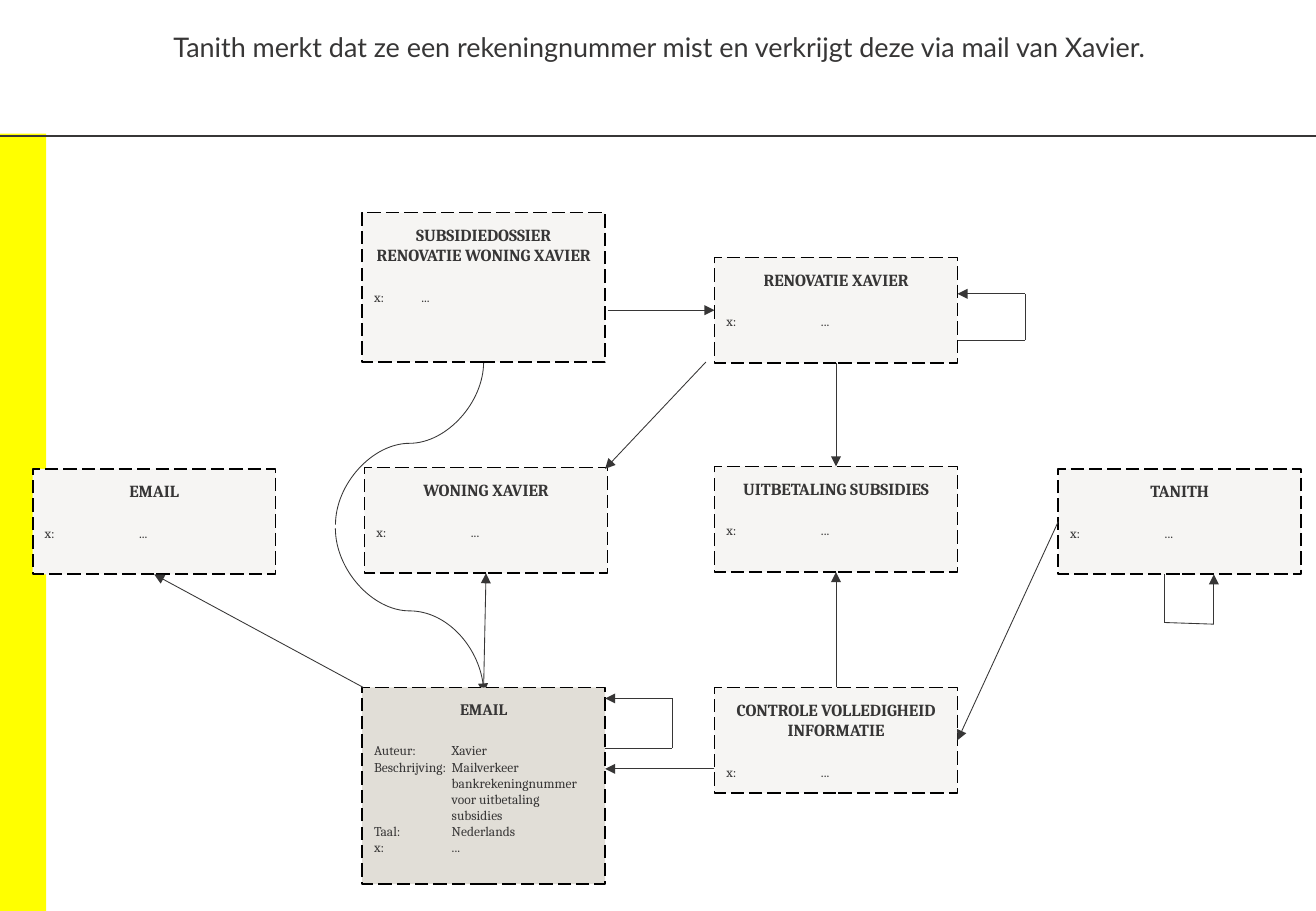
from dataclasses import dataclass
from itertools import pairwise

from lxml import etree
from pptx import Presentation
from pptx.dml.color import RGBColor
from pptx.enum.dml import MSO_LINE
from pptx.enum.shapes import MSO_CONNECTOR, MSO_SHAPE
from pptx.enum.text import MSO_ANCHOR, PP_ALIGN
from pptx.oxml.ns import qn
from pptx.util import Pt

RECT = MSO_SHAPE.RECTANGLE
LINE, CURVE = MSO_CONNECTOR.STRAIGHT, MSO_CONNECTOR.CURVE
DASH = MSO_LINE.LONG_DASH
TOP = MSO_ANCHOR.TOP
LEFT, MID = PP_ALIGN.LEFT, PP_ALIGN.CENTER

Point = tuple[float, float]
Site = tuple[str, int]


@dataclass(frozen=True)
class Theme:
    ink: RGBColor = RGBColor(0x37, 0x36, 0x36)
    edge: RGBColor = RGBColor(0, 0, 0)
    pale: RGBColor = RGBColor(0xF6, 0xF5, 0xF3)
    dark: RGBColor = RGBColor(0xE1, 0xDE, 0xD7)
    band: RGBColor = RGBColor(0xFF, 0xFF, 0)
    white: RGBColor = RGBColor(0xFF, 0xFF, 0xFF)
    sans: str = "Lato"
    serif: str = "Cambria"
    title: float = 16
    head: float = 10
    body: float = 8


THEME = Theme()
WIDE, HIGH = 779.8, 540
BOX_W, BOX_H = 144, 62.6
PAD, GAP = 7.2, 14


@dataclass(frozen=True)
class Box:
    key: str
    left: float
    top: float
    head: str
    high: float = BOX_H
    fill: RGBColor = THEME.pale
    size: float = THEME.head
    tab: float = 56
    rows: tuple[str, ...] = ("x:\t...",)


@dataclass(frozen=True)
class Link:
    start: Point
    end: Point
    tail: Site | None = None
    tip: Site | None = None
    arrow: bool = True


@dataclass(frozen=True)
class Bend:
    start: Point
    end: Point
    turn: int
    arrow: bool


MAIL_ROWS = (
    "Auteur:\tXavier",
    "Beschrijving:\tMailverkeer\vbankrekeningnummer\vvoor uitbetaling\vsubsidies",
    "Taal:\tNederlands",
    "x:\t...",
)
BOXES = (
    Box("tanith", 627.1, 277.9, "TANITH"),
    Box("payment", 423.4, 276.5, "UITBETALING SUBSIDIES"),
    Box("file", 214.6, 126, "SUBSIDIEDOSSIER RENOVATIE WONING XAVIER", high=88.6, tab=28),
    Box("inbox", 19.4, 277.9, "EMAIL"),
    Box("check", 423.4, 407.5, "CONTROLE VOLLEDIGHEID INFORMATIE"),
    Box("house", 216, 277.2, "WONING XAVIER"),
    Box("works", 423.4, 152.6, "RENOVATIE XAVIER"),
    Box("mail", 214.6, 407.5, "EMAIL", 116.6, THEME.dark, 9.5, 46, MAIL_ROWS),
)
LINKS = (
    Link((627.1, 309.2), (567.4, 438.8), ("tanith", 1), ("check", 3)),
    Link((495.4, 215.2), (495.4, 276.5), ("works", 2), ("payment", 0)),
    Link((495.4, 407.5), (495.4, 339.1), ("check", 0), ("payment", 2)),
    Link((423.4, 455.8), (358.6, 455.8)),
    Link((286.6, 407.5), (288, 339.8), ("mail", 0), ("house", 2)),
    Link((418.3, 214.6), (358.6, 277.9)),
    Link((360, 183.9), (423.4, 183.9), tip=("works", 1)),
    Link((215.3, 407.5), (91.4, 340.5), tip=("inbox", 2)),
)
LOOPS = (
    ((567.4, 201.6), (607.4, 201.6), (607.4, 174.2), (567.4, 174.2)),
    ((358.6, 443.5), (398.4, 443.5), (398.4, 414), (358.6, 414)),
    ((689.8, 340.5), (689.8, 369), (719.3, 370), (719.3, 340.5)),
)
BENDS = (
    Bend((291.6, 318.2), (193.7, 406.1), 270, True),
    Bend((290.9, 306.7), (194.4, 218.9), 90, False),
)


def set_font(para, face: str, size: float, bold: bool = False) -> None:
    font = para.font
    font.name, font.size, font.bold = face, Pt(size), bold
    font.color.rgb = THEME.ink


def add_rect(slide, left: float, top: float, wide: float, high: float, fill: RGBColor):
    rect = slide.shapes.add_shape(RECT, Pt(left), Pt(top), Pt(wide), Pt(high))
    rect.shadow.inherit = False
    rect.fill.solid()
    rect.fill.fore_color.rgb = fill
    rect.line.fill.background()
    return rect


def add_box(slide, box: Box):
    rect = add_rect(slide, box.left, box.top, BOX_W, box.high, box.fill)
    rect.line.color.rgb = THEME.edge
    rect.line.width = Pt(1)
    rect.line.dash_style = DASH
    frame = rect.text_frame
    frame.word_wrap = True
    frame.vertical_anchor = TOP
    frame.margin_left = frame.margin_right = Pt(PAD)
    frame.margin_top = frame.margin_bottom = Pt(PAD)
    head = frame.paragraphs[0]
    head.text, head.alignment = box.head, MID
    set_font(head, THEME.serif, box.size, True)
    for num, row in enumerate(box.rows):
        para = frame.add_paragraph()
        para.text, para.alignment = row, LEFT
        # A hanging indent lines up the values
        props = para._p.get_or_add_pPr()
        props.set("marL", str(Pt(box.tab)))
        props.set("indent", str(-Pt(box.tab)))
        para.space_before = Pt(0 if num else GAP)
        set_font(para, THEME.serif, THEME.body)
    return rect


def add_line(slide, start: Point, end: Point, arrow: bool = False,
             kind=LINE, width: float = 0.5):
    line = slide.shapes.add_connector(kind, *map(Pt, start + end))
    line.line.color.rgb = THEME.ink
    line.line.width = Pt(width)
    props = line._element.spPr
    if arrow:
        etree.SubElement(props.find(qn("a:ln")), qn("a:tailEnd"), type="triangle")
    etree.SubElement(props, qn("a:effectLst"))
    return line


def add_title(slide, text: str) -> None:
    box = slide.shapes.add_textbox(Pt(22.3), Pt(16.6), Pt(737.3), Pt(77.8))
    box.text_frame.word_wrap = True
    para = box.text_frame.paragraphs[0]
    para.text, para.alignment, para.line_spacing = text, MID, 0.9
    set_font(para, THEME.sans, THEME.title)


def main() -> None:
    deck = Presentation()
    deck.slide_width, deck.slide_height = Pt(WIDE), Pt(HIGH)
    slide = deck.slides.add_slide(deck.slide_layouts[6])

    # Side band and header
    add_rect(slide, 0, 0, 27.4, HIGH, THEME.band)
    add_rect(slide, 0, 0, WIDE, 79.2, THEME.white)
    add_title(slide, "Tanith merkt dat ze een rekeningnummer mist en verkrijgt deze via mail van Xavier.")
    add_line(slide, (0, 80.6), (WIDE, 80.6), width=1)

    # Curves from file to mail, behind the boxes
    for bend in BENDS:
        curve = add_line(slide, bend.start, bend.end, bend.arrow, CURVE)
        curve._element.spPr.find(qn("a:xfrm")).set("rot", str(bend.turn * 60000))

    # Boxes
    nodes = {box.key: add_box(slide, box) for box in BOXES}

    # Arrows between boxes
    for link in LINKS:
        line = add_line(slide, link.start, link.end, link.arrow)
        if link.tail:
            line.begin_connect(nodes[link.tail[0]], link.tail[1])
        if link.tip:
            line.end_connect(nodes[link.tip[0]], link.tip[1])

    # Loops from a box to itself
    for loop in LOOPS:
        for start, end in pairwise(loop):
            add_line(slide, start, end, arrow=end == loop[-1])

    deck.save("out.pptx")


if __name__ == "__main__":
    main()
